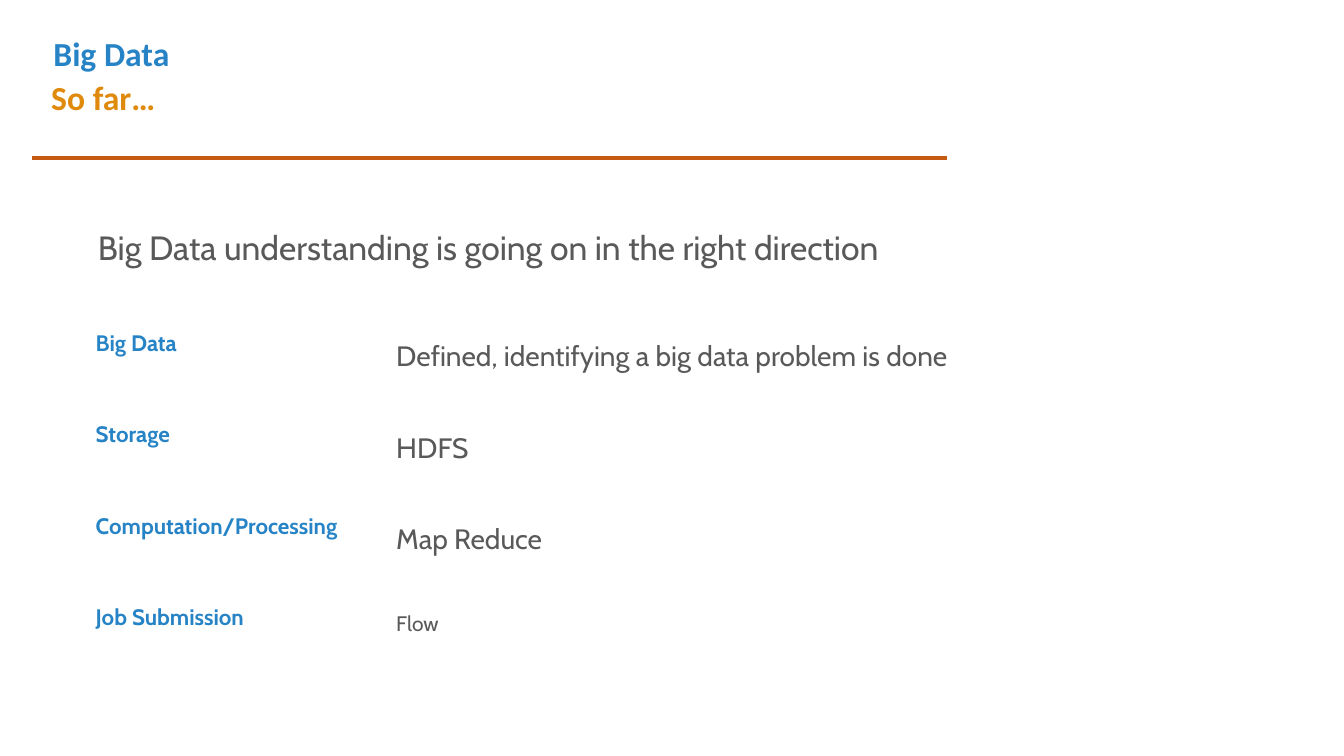
"""Build the Big Data progress slide with its topic table."""
from dataclasses import dataclass

from lxml.etree import SubElement
from pptx import Presentation
from pptx.dml.color import RGBColor
from pptx.enum.shapes import MSO_CONNECTOR
from pptx.enum.text import MSO_ANCHOR, MSO_AUTO_SIZE, PP_ALIGN
from pptx.oxml.ns import qn
from pptx.util import Inches, Pt


@dataclass(frozen=True)
class Theme:
    heading_font: str = "Calibri"
    body_font: str = "Cabin"
    blue: str = "2683C6"
    amber: str = "DF8A0C"
    rust: str = "C55A11"
    gray: str = "595959"
    white: str = "FFFFFF"
    heading_size: int = 24
    label_size: int = 16
    detail_size: int = 20
    small_size: int = 15


theme = Theme()


def write(text_frame, text, font, size, color, bold=False, line_spacing=None):
    """Add one formatted run to the first paragraph."""
    paragraph = text_frame.paragraphs[0]
    paragraph.alignment = PP_ALIGN.LEFT
    paragraph.line_spacing = line_spacing
    paragraph.space_before = Pt(0)
    run = paragraph.add_run()
    run.text = text
    run.font.name = font
    run.font.size = Pt(size)
    run.font.bold = bold
    run.font.color.rgb = RGBColor.from_string(color)


def place(shape, left, top, width, height):
    """Position a text shape and set its frame to wrap from the top."""
    shape.left, shape.top = Inches(left), Inches(top)
    shape.width, shape.height = Inches(width), Inches(height)
    text_frame = shape.text_frame
    text_frame.word_wrap = True
    text_frame.auto_size = MSO_AUTO_SIZE.NONE
    text_frame.vertical_anchor = MSO_ANCHOR.TOP
    return text_frame


presentation = Presentation()
presentation.slide_width = Inches(13.33)
presentation.slide_height = Inches(7.5)
slide = presentation.slides.add_slide(presentation.slide_layouts[1])

title_frame = place(slide.shapes.title, 0.43, 0.28, 8.2, 0.5)
write(title_frame, "Big Data", theme.heading_font, theme.heading_size, theme.blue, bold=True)

subtitle = slide.shapes.add_textbox(Inches(0.41), Inches(0.71), Inches(8.75), Inches(0.5))
subtitle.text_frame.word_wrap = True
write(
    subtitle.text_frame, "So far…",
    theme.heading_font, theme.heading_size, theme.amber, bold=True,
)

rule = slide.shapes.add_connector(
    MSO_CONNECTOR.STRAIGHT, Inches(0.32), Inches(1.57), Inches(9.39), Inches(1.57)
)
rule.line.color.rgb = RGBColor.from_string(theme.rust)
rule.line.width = Pt(3)
SubElement(rule.element.spPr, qn("a:effectLst"))

body_frame = place(slide.placeholders[1], 0.87, 2.08, 10.13, 0.73)
properties = body_frame.paragraphs[0]._p.get_or_add_pPr()
properties.set("marL", "0")
properties.set("indent", "0")
SubElement(properties, qn("a:buNone"))
write(
    body_frame, "Big Data understanding is going on in the right direction",
    theme.body_font, theme.heading_size, theme.gray, line_spacing=1.3,
)

topics = [
    ("Big Data", "Defined, identifying a big data problem is done", theme.detail_size),
    ("Storage", "HDFS", theme.detail_size),
    ("Computation/Processing", "Map Reduce", theme.detail_size),
    ("Job Submission", "Flow", theme.small_size),
]
table = slide.shapes.add_table(
    len(topics), 2, Inches(0.86), Inches(3.23), Inches(11.56), Inches(3.63)
).table
table.first_row = False
table.horz_banding = False
table.columns[0].width = Inches(2.98)
table.columns[1].width = Inches(8.58)

for row, (label, detail, size) in enumerate(topics):
    label_cell, detail_cell = table.cell(row, 0), table.cell(row, 1)
    for cell in (label_cell, detail_cell):
        cell.fill.solid()
        cell.fill.fore_color.rgb = RGBColor.from_string(theme.white)
        cell.margin_left = cell.margin_right = Inches(0.09)
        cell.margin_top = cell.margin_bottom = Inches(0.04)
    write(label_cell.text_frame, label, theme.body_font, theme.label_size, theme.blue, bold=True)
    write(detail_cell.text_frame, detail, theme.body_font, size, theme.gray, line_spacing=1.3)

presentation.save("out.pptx")
